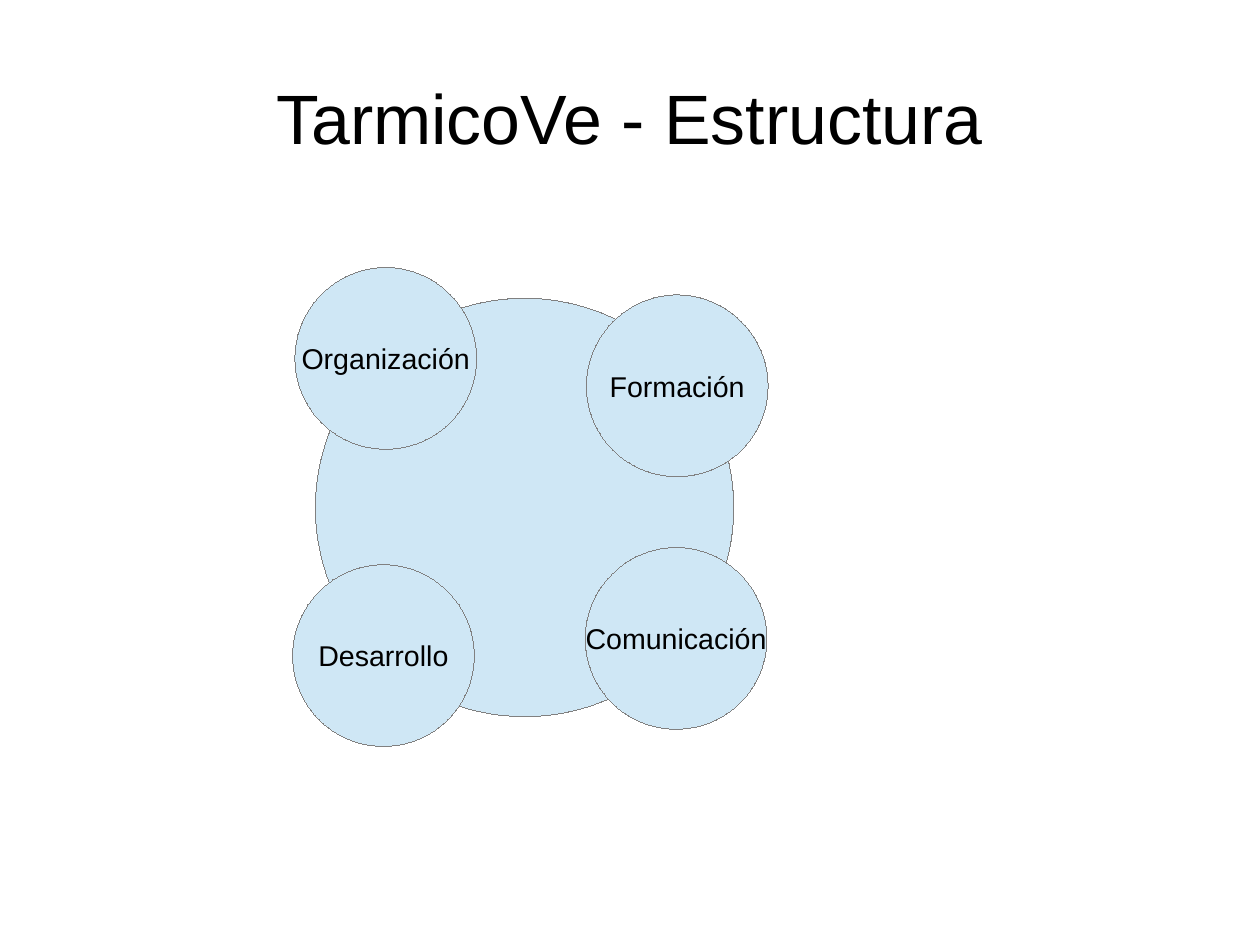
import pptx
import pptx.dml.color
import pptx.enum.shapes
import pptx.enum.text
import pptx.util
from pptx.util import Inches

CM_PER_INCH = 2.54
COLORS = {"circle": "CFE7F5", "outline": "808080", "text": "000000"}
HUB = (2.76, 2.61, 3.66)
AREA_DIAMETER = 1.59
AREAS = [
    ("Organización", 2.58, 2.34),
    ("Desarrollo", 2.56, 4.94),
    ("Comunicación", 5.12, 4.79),
    ("Formación", 5.13, 2.58),
]


def color(name):
    return pptx.dml.color.RGBColor.from_string(COLORS[name])


def write_text(shape, text, size, frame_format):
    """Put one centred line of text in the shape."""
    frame = shape.text_frame
    settings = {"vertical_anchor": pptx.enum.text.MSO_ANCHOR.MIDDLE, **frame_format}
    for name, value in settings.items():
        setattr(frame, name, value)
    paragraph = frame.paragraphs[0]
    paragraph.alignment = pptx.enum.text.PP_ALIGN.CENTER
    run = paragraph.add_run()
    run.text = text
    for name, value in {"name": "Arial", "size": pptx.util.Pt(size)}.items():
        setattr(run.font, name, value)
    run.font.color.rgb = color("text")


def add_circle(slide, left, top, diameter):
    """Add a filled circle with a hairline outline."""
    circle = slide.shapes.add_shape(
        pptx.enum.shapes.MSO_SHAPE.OVAL,
        Inches(left), Inches(top), Inches(diameter), Inches(diameter))
    circle.shadow.inherit = False
    circle.fill.solid()
    circle.fill.fore_color.rgb = color("circle")
    circle.line.color.rgb = color("outline")
    circle.line.width = pptx.util.Pt(0.01)
    return circle


def add_title(slide, text):
    title = slide.shapes.add_textbox(
        Inches(0.55), Inches(0.33), Inches(9.92), Inches(1.38))
    margins = dict.fromkeys(
        ("margin_left", "margin_top", "margin_right", "margin_bottom"), 0)
    write_text(title, text, 44, {"word_wrap": True, **margins})


def main():
    presentation = pptx.Presentation()
    presentation.slide_width = Inches(28 / CM_PER_INCH)
    presentation.slide_height = Inches(21 / CM_PER_INCH)
    slide = presentation.slides.add_slide(presentation.slide_layouts[6])

    add_circle(slide, *HUB)
    add_title(slide, "TarmicoVe - Estructura")
    for label, left, top in AREAS:
        circle = add_circle(slide, left, top, AREA_DIAMETER)
        write_text(circle, label, 18, {"word_wrap": False})

    presentation.save("out.pptx")


if __name__ == "__main__":
    main()
